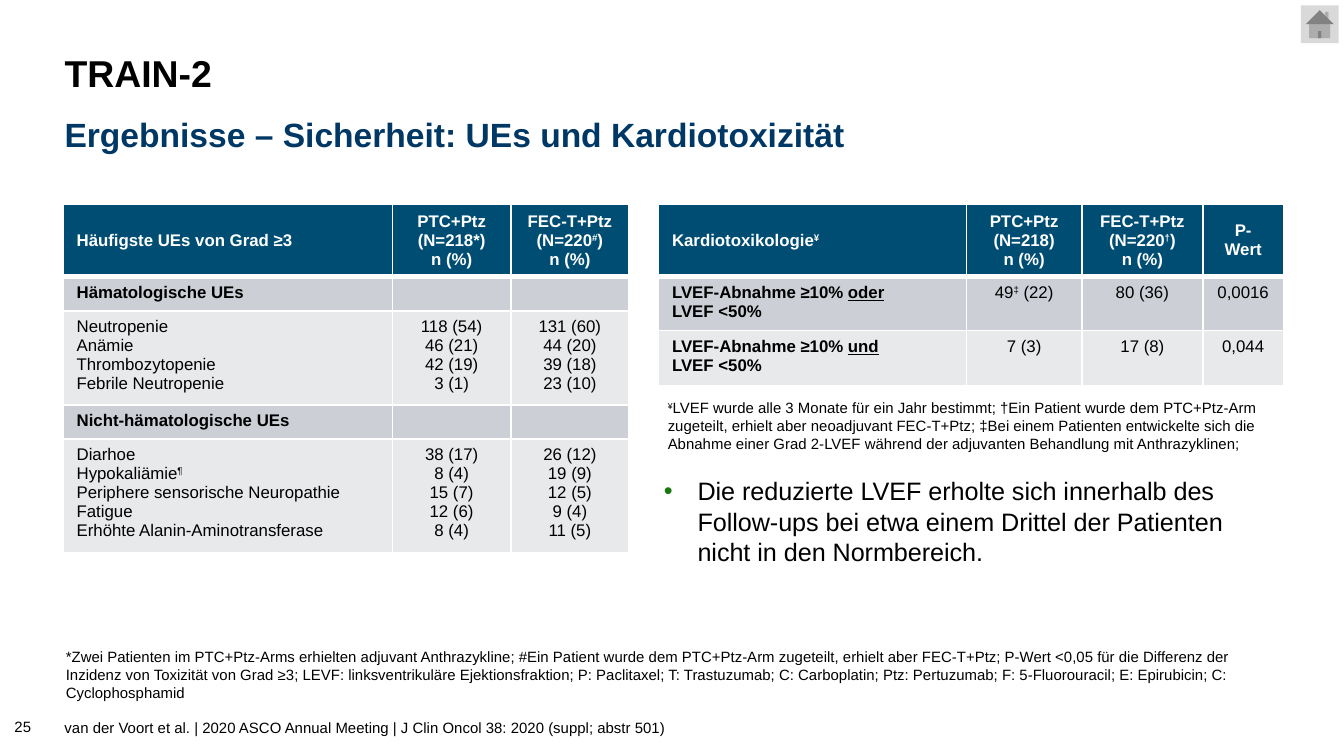
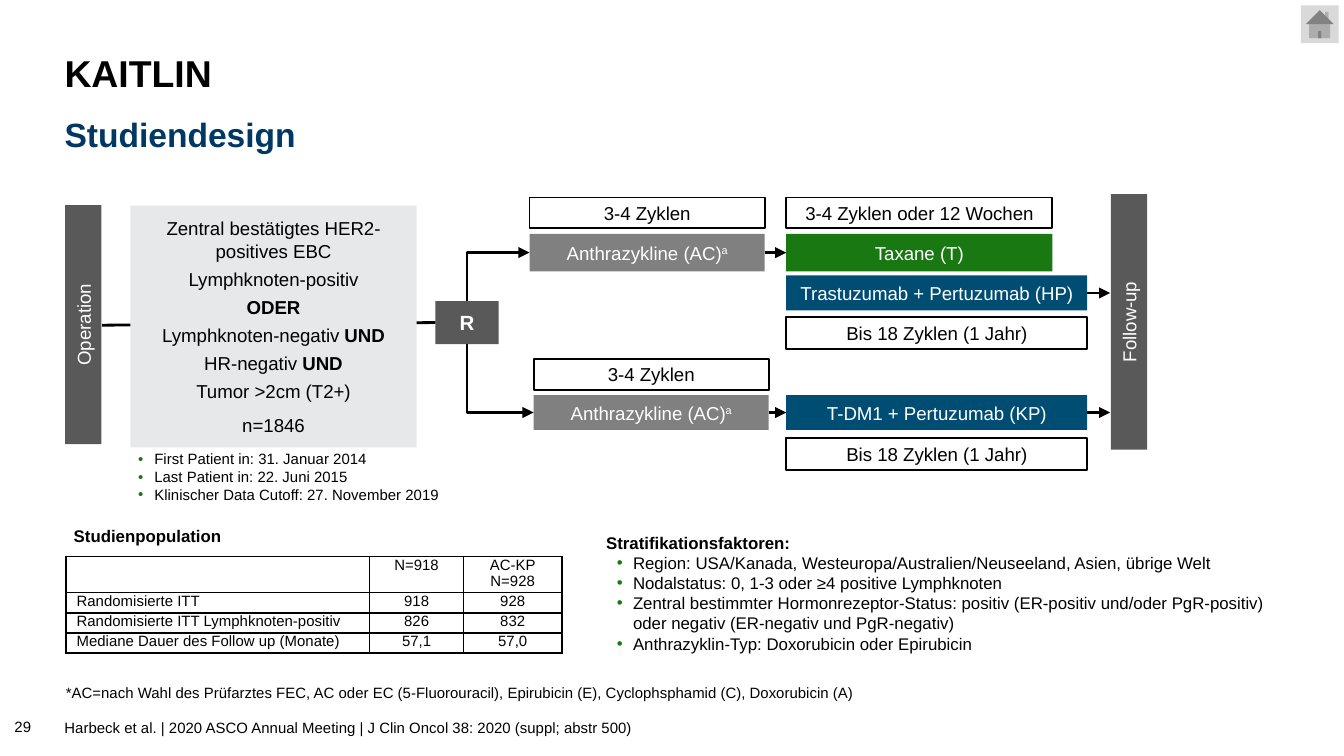
from itertools import groupby

from lxml.etree import SubElement
from pptx import Presentation
from pptx.dml.color import RGBColor
from pptx.enum.shapes import MSO_CONNECTOR as LINK, MSO_SHAPE as SHAPE
from pptx.enum.text import MSO_ANCHOR as ANCHOR, MSO_AUTO_SIZE as AUTOSIZE, PP_ALIGN as ALIGN
from pptx.oxml.ns import qn
from pptx.util import Inches, Pt

FONT = "Arial"
BLACK, WHITE = "000000", "FFFFFF"
NAVY, BLUE, GREEN = "003865", "004D74", "197812"
GREY, DARK, PALE, BUTTON = "808080", "595959", "E7E8EA", "D9D9D9"
BANDS = ["CCD0D6", "E7E9EB"]
SUPER, BOLD, UNDERLINE = "^", "~", "_"
PLACEHOLDER_INSET = (0, 0.05, 0.1, 0.05)
BOX_INSET = (0.1, 0.05, 0.1, 0.05)
LEFT, TOP_SIDE, LEFT_SIDE, BOTTOM_SIDE, RIGHT_SIDE = 0.48, 0, 1, 2, 3


def rgb(value):
    return RGBColor.from_string(value)


def write(frame, text, size=10, color=BLACK, bold=False, align=ALIGN.LEFT,
          before=0, spacing=1.0, hang=(0.2, 0.12)):
    active = set()
    for number, line in enumerate(text.split("\n")):
        paragraph = frame.add_paragraph() if number else frame.paragraphs[0]
        props = paragraph._p.get_or_add_pPr()
        bulleted = line.startswith("• ")
        margin, hanging = hang if bulleted else (0, 0)
        props.set("marL", str(Inches(margin)))
        props.set("indent", str(-Inches(hanging)))
        if bulleted:
            bullet_color = SubElement(props, qn("a:buClr"))
            SubElement(bullet_color, qn("a:srgbClr"), val=GREEN)
            SubElement(props, qn("a:buFont"), typeface=FONT)
            SubElement(props, qn("a:buChar"), char="•")
            line = line[2:]
        else:
            SubElement(props, qn("a:buNone"))
        paragraph.alignment = align
        paragraph.line_spacing = spacing
        paragraph.space_before = Pt(before if number else 0)
        for is_mark, letters in groupby(line, lambda c: c in SUPER + BOLD + UNDERLINE):
            chunk = "".join(letters)
            if is_mark:
                active ^= set(chunk)
                continue
            run = paragraph.add_run()
            run.text = chunk
            run.font.name, run.font.size = FONT, Pt(size)
            run.font.color.rgb = rgb(color)
            run.font.bold = bold or BOLD in active
            run.font.underline = UNDERLINE in active
            if SUPER in active:
                run._r.get_or_add_rPr().set("baseline", "30000")
        if not line:
            SubElement(paragraph._p, qn("a:endParaRPr"), sz=str(size * 100))


def set_margins(target, inset):
    (target.margin_left, target.margin_top,
     target.margin_right, target.margin_bottom) = map(Inches, inset)


def side(end):
    if not isinstance(end[1], int):
        return Inches(end[0]), Inches(end[1])
    box, site = end
    across = {LEFT_SIDE: 0, RIGHT_SIDE: box.width}.get(site, box.width // 2)
    down = {TOP_SIDE: 0, BOTTOM_SIDE: box.height}.get(site, box.height // 2)
    return box.left + across, box.top + down


class Deck:
    """Holds the shared style and the slide being built."""

    def __init__(self):
        self.presentation = Presentation()
        self.presentation.slide_width = Inches(10)
        self.presentation.slide_height = Inches(10) * 9 // 16
        self.slide = None

    def new_slide(self, study, heading, citation, page):
        self.slide = self.presentation.slides.add_slide(self.presentation.slide_layouts[3])
        self.box((9.68, 0.04, 0.28, 0.28), fill=BUTTON, preset=SHAPE.ACTION_BUTTON_HOME)
        self.placeholder(0, (LEFT, 0.3, 9.06, 0.52), study, anchor=ANCHOR.MIDDLE,
                         size=20, bold=True, spacing=0.9)
        self.placeholder(1, (LEFT, 0.8, 9.06, 0.39), heading, anchor=ANCHOR.MIDDLE,
                         size=18, bold=True, color=NAVY)
        self.text((LEFT, 5.3, 9.06, 0.25), citation, inset=PLACEHOLDER_INSET)
        self.text((0.01, 5.27, 0.43, 0.25), page, anchor=ANCHOR.BOTTOM)

    def fill_frame(self, frame, text, anchor, inset, **style):
        frame.word_wrap = True
        frame.auto_size = AUTOSIZE.NONE
        frame.vertical_anchor = anchor
        set_margins(frame, inset)
        write(frame, text, **style)

    def placeholder(self, index, place, text, anchor=ANCHOR.TOP,
                    inset=PLACEHOLDER_INSET, **style):
        holder = self.slide.placeholders[index]
        holder.left, holder.top, holder.width, holder.height = map(Inches, place)
        self.fill_frame(holder.text_frame, text, anchor, inset, **style)

    def text(self, place, text, anchor=ANCHOR.TOP, inset=BOX_INSET, size=8, **style):
        label = self.slide.shapes.add_textbox(*map(Inches, place))
        self.fill_frame(label.text_frame, text, anchor, inset, size=size, **style)

    def footnote(self, top, height, text):
        self.text((0.49, top, 9.06, height), text, anchor=ANCHOR.BOTTOM, inset=(0, 0, 0, 0))

    def box(self, place, text="", fill=WHITE, outline=None, color=WHITE, rotation=0,
            preset=SHAPE.RECTANGLE, inset=BOX_INSET, **style):
        block = self.slide.shapes.add_shape(preset, *map(Inches, place))
        block.shadow.inherit = False
        block.rotation = rotation
        block.fill.solid()
        block.fill.fore_color.rgb = rgb(fill)
        if outline:
            block.line.color.rgb = rgb(outline)
            block.line.width = Pt(1)
        else:
            block.line.fill.background()
        if text:
            self.fill_frame(block.text_frame, text, ANCHOR.MIDDLE, inset,
                            color=color, align=ALIGN.CENTER, **style)
        return block

    def duration(self, place, text):
        self.box(place, text, outline=BLACK, color=BLACK)

    def connect(self, start, end, arrow=None, bent=False):
        kind = LINK.ELBOW if bent else LINK.STRAIGHT
        link = self.slide.shapes.add_connector(kind, *side(start), *side(end))
        for join, (box, site) in ((link.begin_connect, start), (link.end_connect, end)):
            if isinstance(site, int):
                join(box, site)
        link.line.color.rgb = rgb(BLACK)
        link.line.width = Pt(1.5)
        props = link._element.spPr
        if bent:
            props.find(qn("a:prstGeom")).set("prst", "bentConnector2")
        if arrow:
            SubElement(props.find(qn("a:ln")), qn(f"a:{arrow}"), type="triangle")
        SubElement(props, qn("a:effectLst"))

    def table(self, place, widths, heights, rows, fills, rule, size,
              header=BLACK, header_rule=1, inset=BOX_INSET):
        total = sum(widths), sum(heights)
        grid = self.slide.shapes.add_table(len(rows), len(widths),
                                           *map(Inches, place + total)).table
        grid.first_row = grid.horz_banding = False
        for column, width in zip(grid.columns, widths):
            column.width = Inches(width)
        for r, (height, texts) in enumerate(zip(heights, rows)):
            grid.rows[r].height = Inches(height)
            styled = r == 0 and header != BLACK
            for c, text in enumerate(texts):
                cell = grid.cell(r, c)
                set_margins(cell, inset)
                cell.vertical_anchor = ANCHOR.MIDDLE if styled else ANCHOR.TOP
                weights = {"L": 1, "R": 1, "T": header_rule if r == 1 else 1,
                           "B": header_rule if r == 0 else 1}
                self.borders(cell, rule, weights)
                if fills:
                    cell.fill.solid()
                    cell.fill.fore_color.rgb = rgb(fills[r])
                else:
                    cell.fill.background()
                write(cell.text_frame, text, size=size, bold=styled,
                      color=header if r == 0 else BLACK,
                      align=ALIGN.CENTER if c else ALIGN.LEFT)

    def borders(self, cell, rule, weights):
        props = cell._tc.get_or_add_tcPr()
        for edge, weight in weights.items():
            line = SubElement(props, qn(f"a:ln{edge}"), w=str(Pt(weight)))
            SubElement(SubElement(line, qn("a:solidFill")), qn("a:srgbClr"), val=rule)

    def results(self, place, widths, heights, rows):
        fills = [BLUE] + [BANDS[i % 2] for i in range(len(rows) - 1)]
        self.table(place, widths, heights, rows, fills, WHITE, 9, header=WHITE, header_rule=3)


def build_safety(deck):
    deck.new_slide(
        "TRAIN-2", "Ergebnisse – Sicherheit: UEs und Kardiotoxizität",
        "van der Voort et al. | 2020 ASCO Annual Meeting | J Clin Oncol 38: 2020 "
        "(suppl; abstr 501)", "25")
    deck.footnote(
        4.82, 0.4,
        "*Zwei Patienten im PTC+Ptz-Arms erhielten adjuvant Anthrazykline; #Ein Patient wurde "
        "dem PTC+Ptz-Arm zugeteilt, erhielt aber FEC-T+Ptz; P-Wert <0,05 für die Differenz der "
        "Inzidenz von Toxizität von Grad ≥3; LEVF: linksventrikuläre Ejektionsfraktion; "
        "P: Paclitaxel; T: Trastuzumab; C: Carboplatin; Ptz: Pertuzumab; F: 5-Fluorouracil; "
        "E: Epirubicin; C: Cyclophosphamid")
    deck.results((0.47, 1.52), (2.45, 0.88, 0.88), (0.54, 0.25, 0.7, 0.25, 0.85), [
        ["Häufigste UEs von Grad ≥3", "PTC+Ptz (N=218*)\nn (%)", "FEC-T+Ptz (N=220^#^)\nn (%)"],
        ["~Hämatologische UEs~", "", ""],
        ["Neutropenie\nAnämie\nThrombozytopenie\nFebrile Neutropenie",
         "118 (54)\n46 (21)\n42 (19)\n3 (1)", "131 (60)\n44 (20)\n39 (18)\n23 (10)"],
        ["~Nicht-hämatologische UEs~", "", ""],
        ["Diarhoe\nHypokaliämie^¶^\nPeriphere sensorische Neuropathie\nFatigue\n"
         "Erhöhte Alanin-Aminotransferase",
         "38 (17)\n8 (4)\n15 (7)\n12 (6)\n8 (4)", "26 (12)\n19 (9)\n12 (5)\n9 (4)\n11 (5)"],
    ])
    deck.results((4.9, 1.52), (2.29, 0.86, 0.9, 0.6), (0.54, 0.4, 0.41), [
        ["Kardiotoxikologie^¥^", "PTC+Ptz (N=218)\nn (%)", "FEC-T+Ptz (N=220^†^)\nn (%)",
         "P-Wert"],
        ["~LVEF-Abnahme ≥10% _oder_\nLVEF <50%~", "49^‡^ (22)", "80 (36)", "0,0016"],
        ["~LVEF-Abnahme ≥10% _und_\nLVEF <50%~", "7 (3)", "17 (8)", "0,044"],
    ])
    deck.placeholder(
        2, (4.94, 3.49, 4.63, 0.66),
        "• Die reduzierte LVEF erholte sich innerhalb des Follow-ups bei etwa einem Drittel "
        "der Patienten nicht in den Normbereich.", size=13.5, hang=(0.25, 0.25))
    deck.text(
        (4.87, 2.92, 4.71, 0.81),
        "^¥^LVEF wurde alle 3 Monate für ein Jahr bestimmt; †Ein Patient wurde dem PTC+Ptz-Arm "
        "zugeteilt, erhielt aber neoadjuvant FEC-T+Ptz; ‡Bei einem Patienten entwickelte sich "
        "die Abnahme einer Grad 2-LVEF während der adjuvanten Behandlung mit Anthrazyklinen;")


def build_design(deck):
    deck.new_slide(
        "KAITLIN", "Studiendesign",
        "Harbeck et al. | 2020 ASCO Annual Meeting | J Clin Oncol 38: 2020 (suppl; abstr 500)",
        "29")
    randomisation = deck.box((3.24, 2.24, 0.47, 0.32), "R", DARK, size=11, bold=True,
                             inset=(0.04, 0.05, 0.04, 0.05))
    deck.connect((0.76, 2.42), (randomisation, LEFT_SIDE))
    criteria = deck.box(
        (0.97, 1.53, 2.13, 1.8),
        "Zentral bestätigtes HER2-positives EBC\nLymphknoten-positiv\n~ODER~\n"
        "Lymphknoten-negativ ~UND~\nHR-negativ ~UND~\nTumor >2cm (T2+)\nn=1846",
        PALE, color=BLACK, before=3)
    criteria.text_frame.paragraphs[-1].space_before = Pt(6)
    deck.box((-0.27, 2.28, 1.78, 0.27), "Operation", DARK, rotation=270)
    deck.box((7.45, 2.26, 1.9, 0.27), "Follow-up", DARK, rotation=270)

    taxane = deck.box((5.85, 1.74, 1.98, 0.28), "Taxane (T)", GREEN)
    hp_arm = deck.box((5.85, 2.05, 2.24, 0.26), "Trastuzumab + Pertuzumab (HP)", BLUE)
    kp_arm = deck.box((5.85, 2.94, 2.24, 0.26), "T-DM1 + Pertuzumab (KP)", BLUE)
    for left, top, height, exit_side, therapy in (
            (3.94, 1.74, 0.28, TOP_SIDE, taxane), (3.97, 2.94, 0.26, BOTTOM_SIDE, kp_arm)):
        anthracycline = deck.box((left, top, 1.75, height), "Anthrazykline (AC)^a^", GREY)
        deck.duration((left, top - 0.27, 1.75, 0.23), "3-4 Zyklen")
        deck.connect((anthracycline, LEFT_SIDE), (randomisation, exit_side), "headEnd", bent=True)
        deck.connect((anthracycline, RIGHT_SIDE), (therapy, LEFT_SIDE), "tailEnd")
    deck.duration((5.85, 1.47, 1.98, 0.23), "3-4 Zyklen oder 12 Wochen")
    for arm, middle, top in ((hp_arm, 2.18, 2.36), (kp_arm, 3.07, 3.26)):
        deck.duration((5.85, top, 2.24, 0.24), "Bis 18 Zyklen (1 Jahr)")
        deck.connect((arm, RIGHT_SIDE), (8.26, middle), "tailEnd")

    deck.text((0.85, 3.3, 7.92, 0.5),
              "• First Patient in: 31. Januar 2014\n• Last Patient in: 22. Juni 2015\n"
              "• Klinischer Data Cutoff: 27. November 2019")
    deck.text((0.45, 3.86, 7.92, 0.25), "Studienpopulation", size=9, bold=True)
    deck.table((0.49, 4.14), (2.26, 0.7, 0.73), (0.27, 0.15, 0.15, 0.15), [
        ["", "N=918", "AC-KP\nN=928"],
        ["Randomisierte ITT", "918", "928"],
        ["Randomisierte ITT Lymphknoten-positiv", "826", "832"],
        ["Mediane Dauer des Follow up (Monate)", "57,1", "57,0"],
    ], None, BLACK, 8, inset=(0.08, 0, 0.08, 0))
    deck.placeholder(
        2, (4.41, 3.91, 5.1, 1.01),
        "~Stratifikationsfaktoren:~\n"
        "• Region: USA/Kanada, Westeuropa/Australien/Neuseeland, Asien, übrige Welt\n"
        "• Nodalstatus: 0, 1-3 oder ≥4 positive Lymphknoten\n"
        "• Zentral bestimmter Hormonrezeptor-Status: positiv (ER-positiv und/oder "
        "PgR-positiv) oder negativ (ER-negativ und PgR-negativ)\n"
        "• Anthrazyklin-Typ: Doxorubicin oder Epirubicin", size=9, inset=BOX_INSET)
    deck.footnote(
        5.09, 0.13,
        "*AC=nach Wahl des Prüfarztes FEC, AC oder EC (5-Fluorouracil), Epirubicin (E), "
        "Cyclophsphamid (C), Doxorubicin (A)")


def main():
    deck = Deck()
    build_safety(deck)
    build_design(deck)
    deck.presentation.save("out.pptx")


if __name__ == "__main__":
    main()
